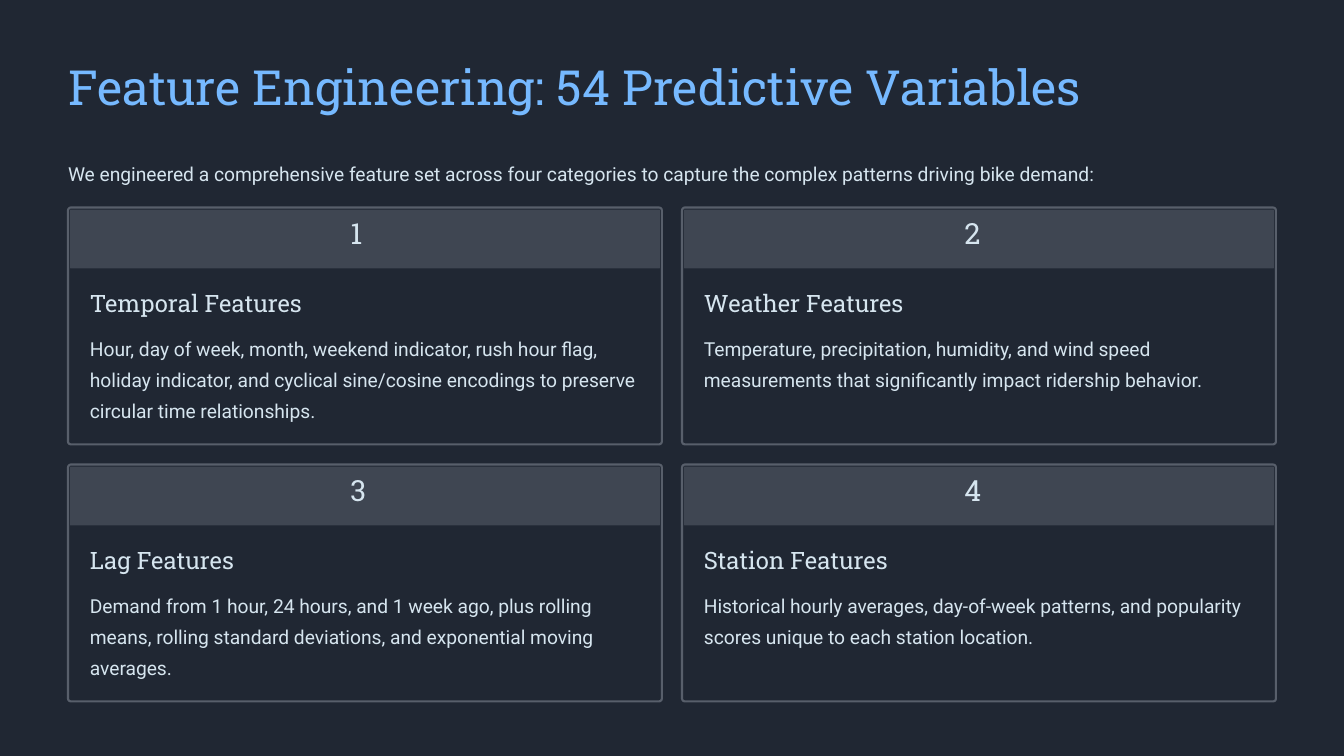
import pptx
from pptx.dml.color import RGBColor
from pptx.enum.shapes import MSO_SHAPE
from pptx.enum.text import MSO_ANCHOR, MSO_AUTO_SIZE, PP_ALIGN
from pptx.util import Inches, Pt

TITLE = "Feature Engineering: 54 Predictive Variables"
INTRO = ("We engineered a comprehensive feature set across four categories "
         "to capture the complex patterns driving bike demand:")
FEATURES = [
    ("Temporal Features",
     "Hour, day of week, month, weekend indicator, rush hour flag, holiday indicator, "
     "and cyclical sine/cosine encodings to preserve circular time relationships."),
    ("Weather Features",
     "Temperature, precipitation, humidity, and wind speed measurements "
     "that significantly impact ridership behavior."),
    ("Lag Features",
     "Demand from 1 hour, 24 hours, and 1 week ago, plus rolling means, "
     "rolling standard deviations, and exponential moving averages."),
    ("Station Features",
     "Historical hourly averages, day-of-week patterns, and popularity scores "
     "unique to each station location."),
]

NAVY = RGBColor(0x20, 0x27, 0x33)
SLATE = RGBColor(0x3F, 0x46, 0x52)
BORDER = RGBColor(0x58, 0x5F, 0x6B)
SKY = RGBColor(0x76, 0xB9, 0xFF)
PALE = RGBColor(0xD6, 0xE5, 0xEF)
HEADING_FONT = "Roboto Slab"
BODY_FONT = "Roboto"

MARGIN = 0.81
GRID_TOP = 2.47
CARD_WIDTH, CARD_HEIGHT = 7.07, 2.82
COLUMN_STEP, ROW_STEP = 7.31, 3.06
COLUMNS = 2
BAND_INSET = 0.025
BAND_HEIGHT = 0.7
TEXT_INSET = 0.26


def write(box, text, font, size, leading, color=PALE, wrap=False):
    frame = box.text_frame
    frame.margin_left = frame.margin_right = 0
    frame.margin_top = frame.margin_bottom = 0
    frame.auto_size = MSO_AUTO_SIZE.NONE
    frame.vertical_anchor = MSO_ANCHOR.TOP
    frame.word_wrap = wrap
    para = frame.paragraphs[0]
    para.text = text
    para.alignment = PP_ALIGN.LEFT
    para.space_before = Pt(0)
    para.line_spacing = Pt(leading)
    para.font.name = font
    para.font.size = Pt(size)
    para.font.color.rgb = color


def add_text(page, left, top, width, height, *style, **options):
    box = page.shapes.add_textbox(Inches(left), Inches(top), Inches(width), Inches(height))
    write(box, *style, **options)


def add_panel(page, left, top, width, height, rounding, fill, border=None):
    panel = page.shapes.add_shape(MSO_SHAPE.ROUNDED_RECTANGLE, Inches(left), Inches(top),
                                  Inches(width), Inches(height))
    panel.adjustments[0] = rounding
    panel.shadow.inherit = False
    panel.fill.solid()
    panel.fill.fore_color.rgb = fill
    if border is None:
        panel.line.fill.background()
    else:
        panel.line.color.rgb = border
        panel.line.width = Pt(1.8)


def add_card(page, index, heading, description):
    row, column = divmod(index, COLUMNS)
    left = MARGIN + column * COLUMN_STEP
    top = GRID_TOP + row * ROW_STEP
    text_left = left + TEXT_INSET
    add_panel(page, left, top, CARD_WIDTH, CARD_HEIGHT, 0.012, NAVY, BORDER)
    add_panel(page, left + BAND_INSET, top + BAND_INSET, CARD_WIDTH - 2 * BAND_INSET,
              BAND_HEIGHT, 0.007, SLATE)
    add_text(page, left + 3.36, top + 0.16, 0.35, 0.43, str(index + 1), HEADING_FONT, 25, 25)
    add_text(page, text_left, top + 0.95, 2.9, 0.36, heading, HEADING_FONT, 20.5, 26)
    add_text(page, text_left, top + 1.45, CARD_WIDTH - 2 * TEXT_INSET, 1.11,
             description, BODY_FONT, 16.5, 26.5, wrap=True)


def main():
    deck = pptx.Presentation()
    deck.slide_width, deck.slide_height = Inches(16), Inches(9)
    page = deck.slides.add_slide(deck.slide_layouts.get_by_name("Title Only"))
    page.background.fill.solid()
    page.background.fill.fore_color.rgb = NAVY

    title = page.shapes.title
    title.left, title.top = Inches(MARGIN), Inches(0.65)
    title.width, title.height = Inches(12.11), Inches(0.72)
    write(title, TITLE, HEADING_FONT, 41.5, 52, SKY)
    add_text(page, MARGIN, 1.84, 14.38, 0.37, INTRO, BODY_FONT, 16.5, 26.5)

    for index, (heading, description) in enumerate(FEATURES):
        add_card(page, index, heading, description)

    deck.save("out.pptx")


if __name__ == "__main__":
    main()
